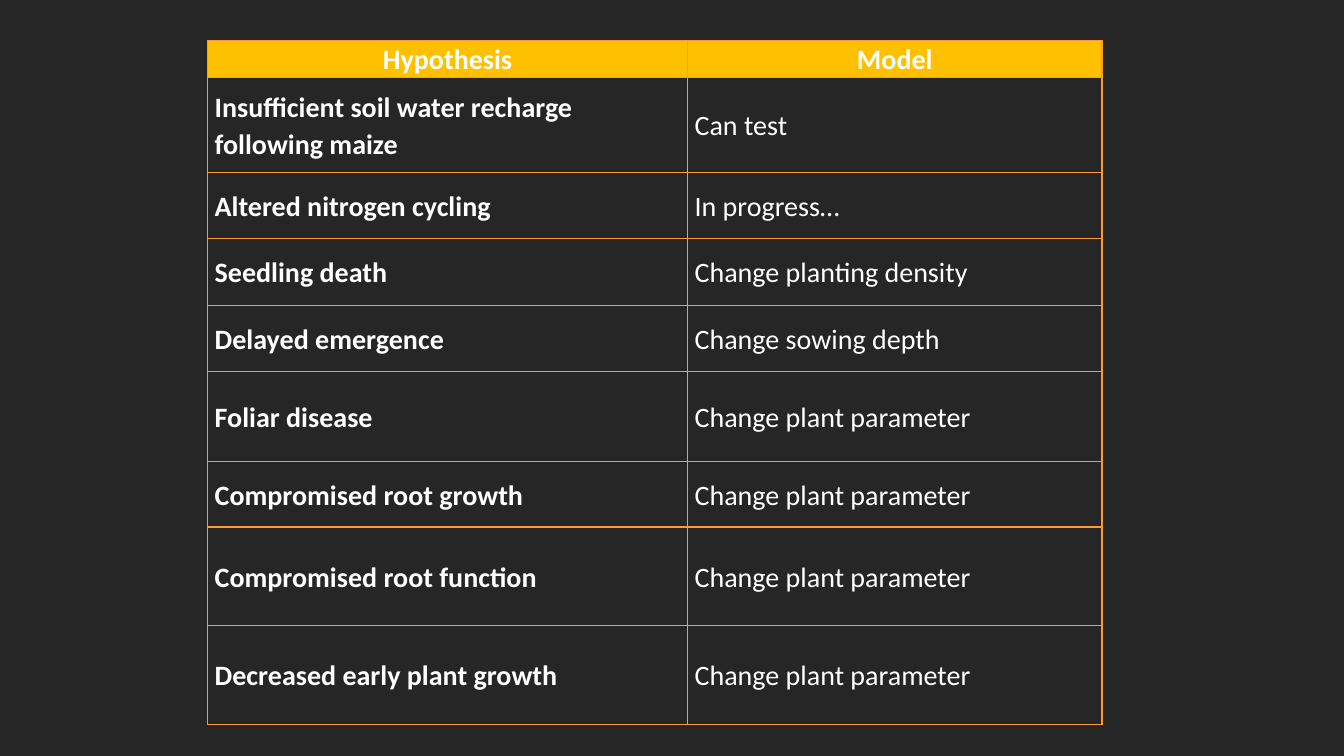
from lxml import etree
from pptx import Presentation
from pptx.dml.color import RGBColor
from pptx.enum.text import MSO_ANCHOR, PP_ALIGN
from pptx.oxml.ns import qn
from pptx.util import Inches, Pt

BACKGROUND = RGBColor(0x26, 0x26, 0x26)
HEADER_FILL = RGBColor(0xFF, 0xC0, 0x00)
BORDER = RGBColor(0xFF, 0x99, 0x33)
WHITE = RGBColor(0xFF, 0xFF, 0xFF)
MIDDLE = MSO_ANCHOR.MIDDLE
CENTER = PP_ALIGN.CENTER
LEFT = PP_ALIGN.LEFT

COLUMN_WIDTHS = (4.76, 4.11)
HYPOTHESES = (
    (0.37, "Hypothesis", "Model"),
    (0.94, "Insufficient soil water recharge following maize", "Can test"),
    (0.66, "Altered nitrogen cycling", "In progress…"),
    (0.66, "Seedling death", "Change planting density"),
    (0.66, "Delayed emergence", "Change sowing depth"),
    (0.89, "Foliar disease", "Change plant parameter"),
    (0.65, "Compromised root growth", "Change plant parameter"),
    (0.98, "Compromised root function", "Change plant parameter"),
    (0.98, "Decreased early plant growth", "Change plant parameter"),
)


def add_borders(cell):
    """Draw a one-point line on all four sides of a cell."""
    properties = cell._tc.get_or_add_tcPr()
    for side in ("a:lnL", "a:lnR", "a:lnT", "a:lnB"):
        line = etree.SubElement(properties, qn(side), w=str(Pt(1)))
        fill = etree.SubElement(line, qn("a:solidFill"))
        etree.SubElement(fill, qn("a:srgbClr"), val=str(BORDER))


def fill_cell(cell, text, is_header, bold):
    """Write and format one table cell."""
    add_borders(cell)
    if is_header:
        cell.fill.solid()
        cell.fill.fore_color.rgb = HEADER_FILL
    else:
        cell.fill.background()
    cell.margin_left = cell.margin_right = Inches(0.07)
    cell.margin_top = cell.margin_bottom = Inches(0)
    cell.vertical_anchor = MIDDLE
    cell.text_frame.text = text
    paragraph = cell.text_frame.paragraphs[0]
    paragraph.alignment = CENTER if is_header else LEFT
    paragraph.line_spacing = 1.07
    paragraph.space_after = Pt(8)
    font = paragraph.runs[0].font
    font.name = "Calibri"
    font.size = Pt(20)
    font.bold = bold
    font.color.rgb = WHITE


def add_hypothesis_table(slide):
    """Add the table of hypotheses and how the model handles them."""
    height = sum(row[0] for row in HYPOTHESES)
    frame = slide.shapes.add_table(
        len(HYPOTHESES), len(COLUMN_WIDTHS),
        Inches(2.06), Inches(0.4), Inches(sum(COLUMN_WIDTHS)), Inches(height),
    )
    table = frame.table
    table.horz_banding = False
    for column, width in zip(table.columns, COLUMN_WIDTHS):
        column.width = Inches(width)
    for row_index, (row_height, *texts) in enumerate(HYPOTHESES):
        table.rows[row_index].height = Inches(row_height)
        is_header = row_index == 0
        for column_index, text in enumerate(texts):
            bold = is_header or column_index == 0
            fill_cell(table.cell(row_index, column_index), text, is_header, bold)


def main():
    """Build the slide and save it."""
    presentation = Presentation()
    presentation.slide_width = Inches(13.33)
    presentation.slide_height = Inches(7.5)
    slide = presentation.slides.add_slide(presentation.slide_layouts[6])
    slide.background.fill.solid()
    slide.background.fill.fore_color.rgb = BACKGROUND
    add_hypothesis_table(slide)
    presentation.save("out.pptx")


if __name__ == "__main__":
    main()
